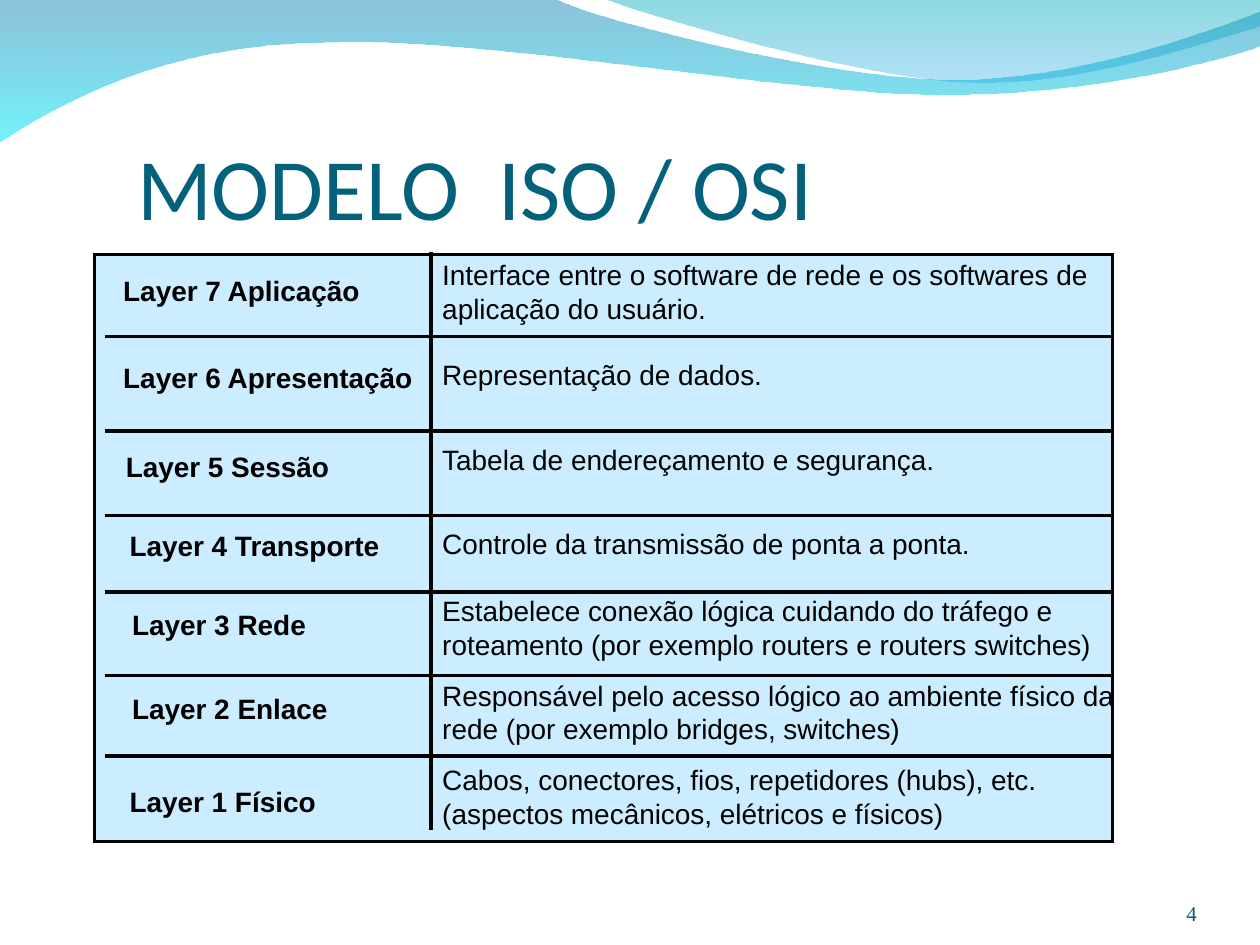
from lxml import etree
from pptx import Presentation
from pptx.dml.color import RGBColor
from pptx.enum.shapes import MSO_CONNECTOR, MSO_SHAPE
from pptx.enum.text import MSO_ANCHOR, PP_ALIGN
from pptx.oxml.ns import qn
from pptx.util import Inches, Pt

RECT = MSO_SHAPE.RECTANGLE
STRAIGHT = MSO_CONNECTOR.STRAIGHT
TOP, BOTTOM = MSO_ANCHOR.TOP, MSO_ANCHOR.BOTTOM
LEFT, RIGHT = PP_ALIGN.LEFT, PP_ALIGN.RIGHT

LOWER_WAVE = [
    [(0, -0.01)],
    [(4.4, -0.01)],
    [(4.76, 0.17), (6.64, 0.63), (7.58, 0.63)],
    [(8.53, 0.63), (9.58, 0.26), (10, 0.09)],
    [(10.01, 0.36)],
    [(9.83, 0.44), (8.7, 0.76), (7.46, 0.75)],
    [(6.22, 0.75), (3.82, 0.28), (2.57, 0.34)],
    [(1.29, 0.35), (0.46, 0.83), (-0.01, 1.13)],
]
UPPER_WAVE = [
    [(4.79, -0.01)],
    [(5.09, 0.11), (6.82, 0.62), (7.69, 0.65)],
    [(8.56, 0.69), (9.61, 0.32), (10, 0.21)],
    [(10, 0)],
]
LABELS = [
    ("Layer 7 Aplicação", 0.13, 0.13),
    ("Layer 6 Apresentação", 0.13, 0.82),
    ("Layer 5 Sessão", 0.15, 1.53),
    ("Layer 4 Transporte", 0.18, 2.16),
    ("Layer 3 Rede", 0.2, 2.78),
    ("Layer 2 Enlace", 0.2, 3.45),
    ("Layer 1 Físico", 0.18, 4.19),
]
DESCRIPTIONS = [
    ("Interface entre o software de rede e os softwares de aplicação do usuário.", 0),
    ("Representação de dados.", 19),
    ("Tabela de endereçamento e segurança.", 29),
    ("Controle da transmissão de ponta a ponta.", 29),
    ("Estabelece conexão lógica cuidando do tráfego e roteamento "
     "(por exemplo routers e routers switches)", 19),
    ("Responsável pelo acesso lógico ao ambiente físico da rede "
     "(por exemplo bridges, switches)", 10),
    ("Cabos, conectores, fios, repetidores (hubs), etc. "
     "(aspectos mecânicos, elétricos e físicos)", 10),
]
DIVIDERS = [0.65, 1.4, 2.07, 2.68, 3.34, 3.98]


def rgb(value):
    """Return the colour of a hex string."""
    return RGBColor.from_string(value)


def add_text(slide, box, paragraphs, font, size, color, bold=False, spacing=None,
             wrap=True, inset=0.1, align=LEFT, anchor=TOP):
    """Place paragraphs, each with its space before, in a text box."""
    tf = slide.shapes.add_textbox(*map(Inches, box)).text_frame
    tf.word_wrap = wrap
    tf.vertical_anchor = anchor
    tf.margin_left = tf.margin_right = Inches(inset)
    tf.margin_top = tf.margin_bottom = Inches(inset / 2)
    for i, (text, before) in enumerate(paragraphs):
        p = tf.paragraphs[0] if i == 0 else tf.add_paragraph()
        p.text = text
        p.alignment = align
        p.line_spacing = spacing
        if before:
            p.space_before = Pt(before)
        p.font.name, p.font.size, p.font.bold = font, Pt(size), bold
        p.font.color.rgb = rgb(color)


def add_line(slide, x1, y1, x2, y2):
    """Draw a black rule between two points."""
    line = slide.shapes.add_connector(STRAIGHT, *map(Inches, (x1, y1, x2, y2)))
    line.line.color.rgb = rgb("000000")
    line.line.width = Pt(2)
    etree.SubElement(line._element.spPr, qn("a:effectLst"))


def curve_segments(sp, segments):
    """Turn each run of three line segments into one Bezier curve."""
    lines = iter(list(sp._element.spPr.iter(qn("a:lnTo"))))
    for segment in segments[1:]:
        group = [next(lines) for _ in segment]
        if len(group) == 3:
            curve = etree.Element(qn("a:cubicBezTo"))
            group[0].addprevious(curve)
            for line in group:
                curve.append(line[0])
                line.getparent().remove(line)


def add_wave(slide, x, y, segments, stops):
    """Draw a wave with a translucent gradient running downwards."""
    points = [(Inches(x + px), Inches(y + py))
              for segment in segments for px, py in segment]
    builder = slide.shapes.build_freeform(*points[0])
    builder.add_line_segments(points[1:], close=True)
    sp = builder.convert_to_shape()
    curve_segments(sp, segments)
    sp.shadow.inherit = False
    sp.line.fill.background()
    sp.fill.gradient()
    sp.fill.gradient_angle = 270
    for stop, (color, _) in zip(sp.fill.gradient_stops, stops):
        stop.color.rgb = rgb(color)
    for clr, (_, alpha) in zip(sp._element.spPr.iter(qn("a:srgbClr")), stops):
        etree.SubElement(clr, qn("a:alpha"), val=str(alpha * 1000))


def add_header(slide, x, y):
    """Draw the waves along the top edge."""
    add_wave(slide, x, y, LOWER_WAVE, [("0079AF", 45), ("00EBF8", 55)])
    add_wave(slide, x, y, UPPER_WAVE, [("00ADB6", 45), ("009BE5", 30)])


def add_layers(slide, x, y, w, h):
    """Draw the panel of layers with labels, descriptions and rules."""
    panel = slide.shapes.add_shape(RECT, *map(Inches, (x, y, w, h)))
    panel.shadow.inherit = False
    panel.fill.solid()
    panel.fill.fore_color.rgb = rgb("CCECFF")
    panel.line.color.rgb = rgb("000000")
    panel.line.width = Pt(2)
    etree.SubElement(panel._element.spPr.find(qn("a:ln")), qn("a:miter"), lim="800000")
    split = x + 2.67
    add_text(slide, (split, y - 0.02, 5.63, h - 0.02), DESCRIPTIONS,
             "Arial", 16, "000000", inset=0.09)
    for dy in DIVIDERS:
        add_line(slide, x + 0.08, y + dy, x + w + 0.01, y + dy)
    add_line(slide, split, y - 0.02, split, y + h - 0.09)
    for text, dx, dy in LABELS:
        add_text(slide, (x + dx, y + dy, 2.5, 0.34), [(text, 0)],
                 "Arial", 16, "000000", bold=True, spacing=0.9, wrap=False)


def main():
    """Build and save the slide."""
    prs = Presentation()
    prs.slide_width, prs.slide_height = Inches(10), Inches(7.5)
    slide = prs.slides.add_slide(prs.slide_layouts[6])
    add_header(slide, 0, 0)
    add_text(slide, (8.67, 6.95, 0.83, 0.4), [("4", 0)], "Times New Roman", 12,
             "045C75", inset=0, align=RIGHT, anchor=BOTTOM)
    add_layers(slide, 0.75, 2.02, 8.08, 4.66)
    add_text(slide, (0.99, 0.92, 7.17, 1.02), [("MODELO  ISO / OSI", 0)],
             "Calibri", 50, "04617B", spacing=1.1)
    prs.save("out.pptx")


if __name__ == "__main__":
    main()
